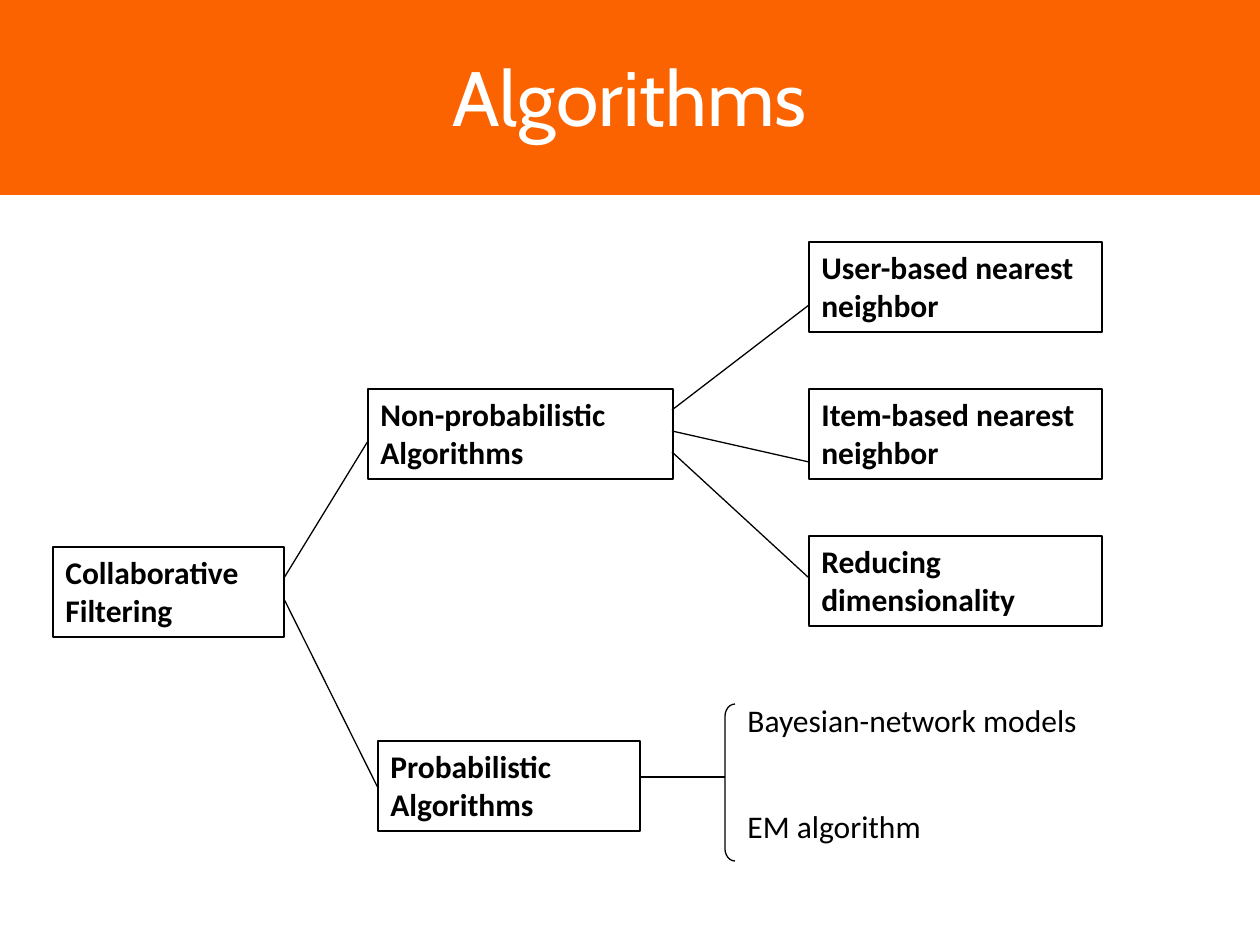
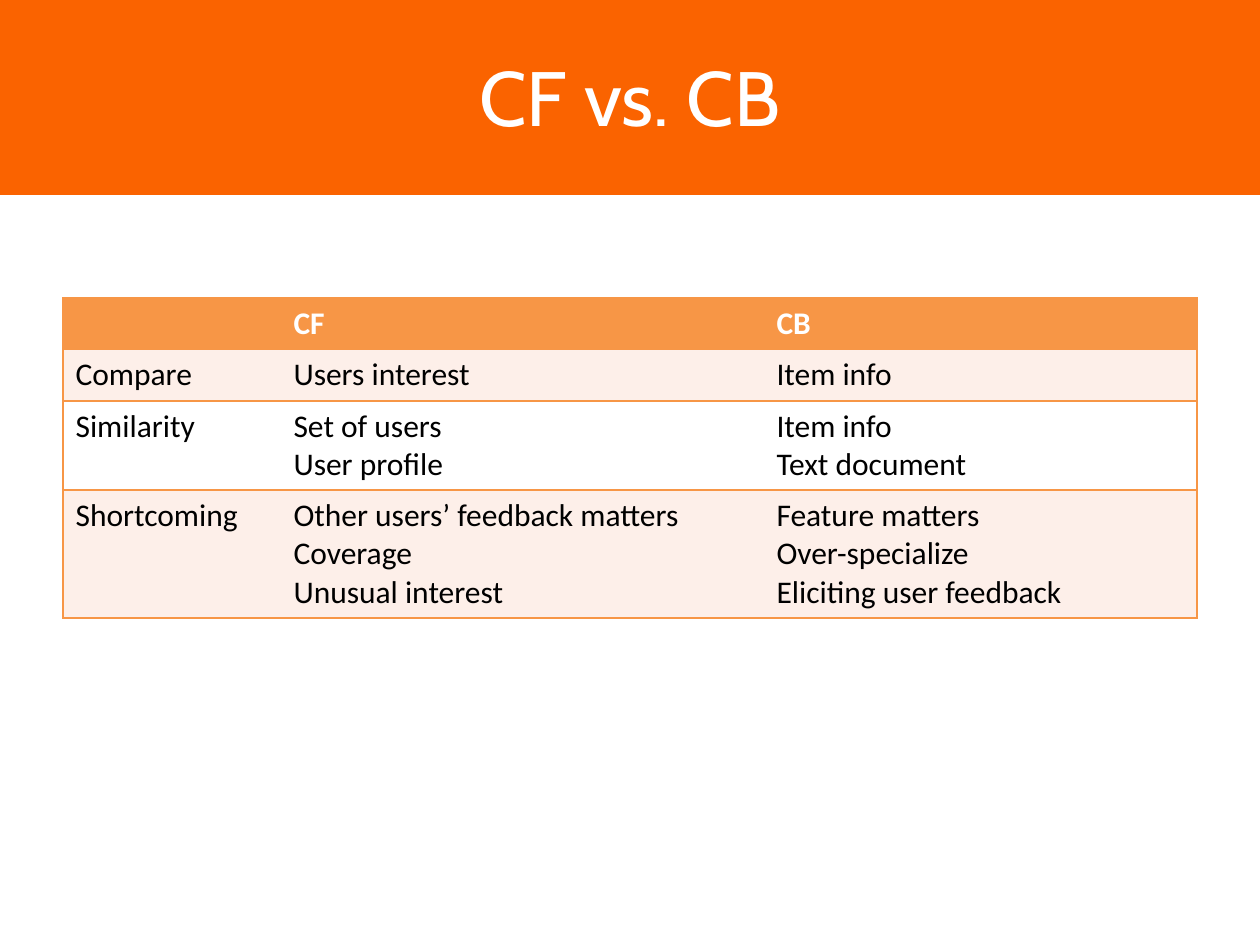
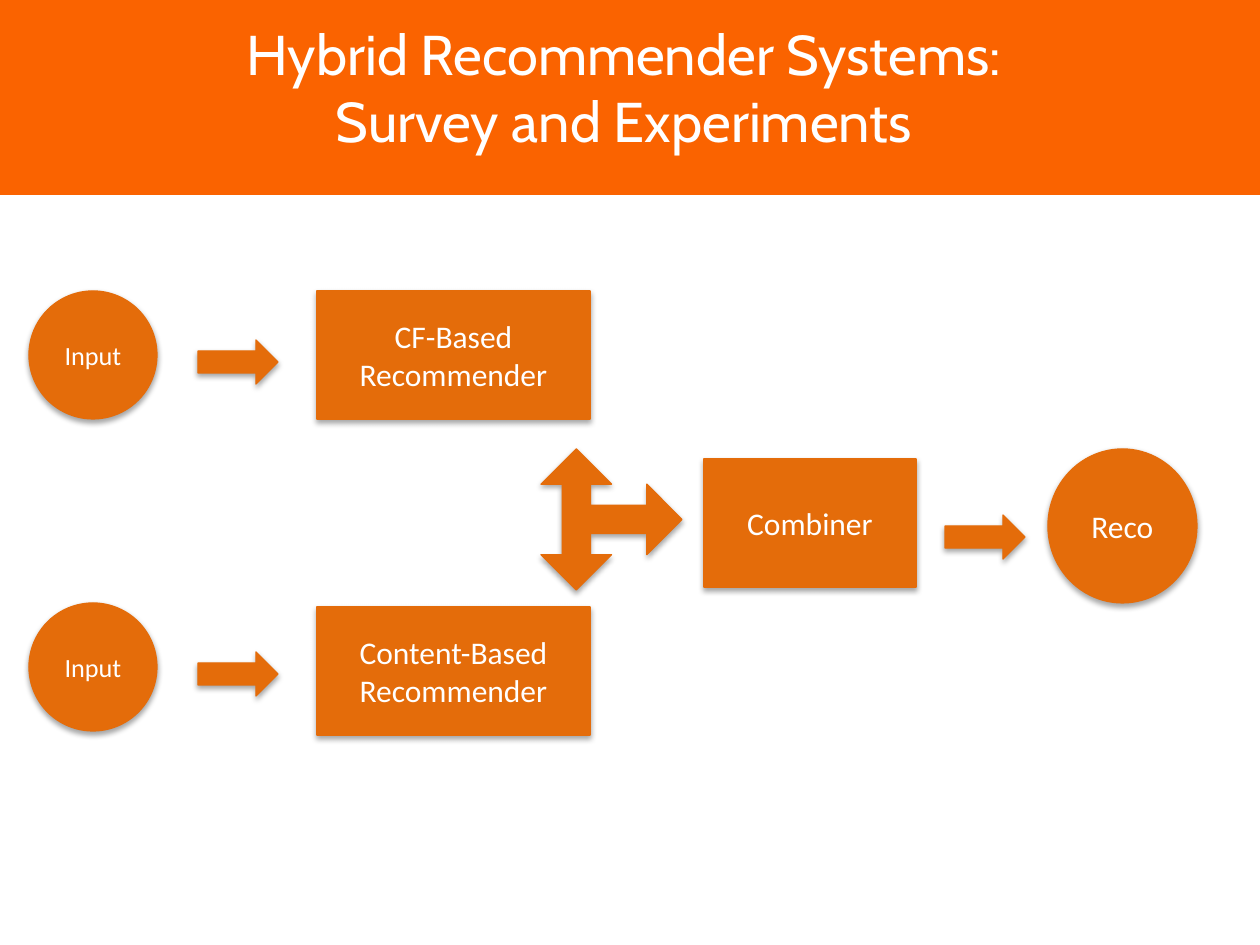
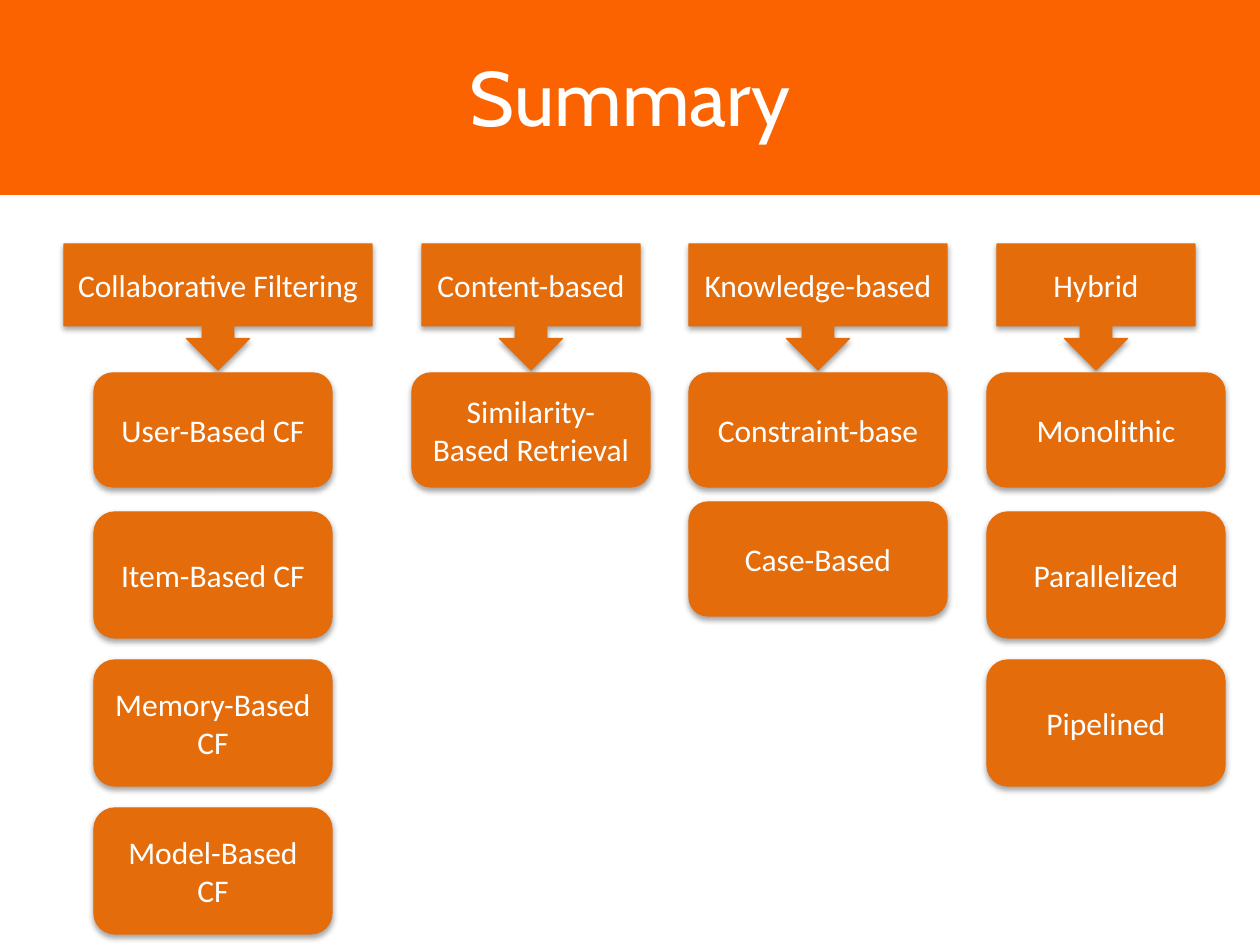
import pptx
import pptx.dml.color
import pptx.enum.shapes
import pptx.enum.text
import pptx.oxml
import pptx.oxml.ns
import pptx.util

SHAPE = pptx.enum.shapes.MSO_SHAPE
ALIGN = pptx.enum.text.PP_ALIGN
ANCHOR = pptx.enum.text.MSO_ANCHOR
PX = pptx.util.Inches(1) / 126

# Shared look
BAND, BLOCK, GRID, TINT = "FA6300", "E46C0A", "F79646", "FDEFE9"
BLACK, WHITE = "000000", "FFFFFF"
TITLE_FONT, BODY_FONT = "Cabin", "Calibri"
THIN = 0.75
DRAWING_NS = pptx.oxml.ns.nsdecls("a")
SHADOW = (
    f'<a:effectLst {DRAWING_NS}><a:outerShdw blurRad="40000" dist="23000" '
    'dir="5400000" rotWithShape="0"><a:srgbClr val="000000">'
    '<a:alpha val="35000"/></a:srgbClr></a:outerShdw></a:effectLst>'
)


def px(*lengths):
    return [round(length * PX) for length in lengths]


def colour(hex_code):
    return pptx.dml.color.RGBColor.from_string(hex_code)


def apply_format(target, values):
    for attribute, value in values.items():
        setattr(target, attribute, value)


def write(frame, lines, size=18, ink=BLACK, bold=False, font=BODY_FONT,
          align=ALIGN.LEFT, gap=0):
    """Fill a text frame, one paragraph a line, with gap points between."""
    for i, line in enumerate(lines):
        paragraph = frame.paragraphs[0] if i == 0 else frame.add_paragraph()
        paragraph.text = line
        paragraph.alignment = align
        if i and gap:
            paragraph.space_before = pptx.util.Pt(gap)
        apply_format(paragraph.font, {
            "size": pptx.util.Pt(size), "name": font, "bold": bold})
        paragraph.font.color.rgb = colour(ink)


def outline(item, hex_code):
    item.line.color.rgb = colour(hex_code)
    item.line.width = pptx.util.Pt(THIN)


def add_outlined(slide, kind, box):
    """Unfilled shape with a thin black line."""
    shape = slide.shapes.add_shape(kind, *px(*box))
    shape.shadow.inherit = False
    shape.fill.background()
    outline(shape, BLACK)
    return shape


def add_node(slide, label, box):
    node = add_outlined(slide, SHAPE.RECTANGLE, box)
    apply_format(node.text_frame, {
        "word_wrap": True, "vertical_anchor": ANCHOR.TOP})
    write(node.text_frame, [label], bold=True)


def add_text(slide, lines, box, anchor=ANCHOR.TOP, **text_format):
    frame = slide.shapes.add_textbox(*px(*box)).text_frame
    apply_format(frame, {"word_wrap": True, "vertical_anchor": anchor})
    write(frame, lines, **text_format)


def add_link(slide, *ends):
    link = slide.shapes.add_connector(
        pptx.enum.shapes.MSO_CONNECTOR.STRAIGHT, *px(*ends))
    outline(link, BLACK)
    link._element.spPr.append(
        pptx.oxml.parse_xml(f"<a:effectLst {DRAWING_NS}/>"))


def add_block(slide, kind, box, label="", size=18):
    """Orange shape with a soft shadow and a centred white label."""
    block = slide.shapes.add_shape(kind, *px(*box))
    block.fill.solid()
    block.fill.fore_color.rgb = colour(BLOCK)
    outline(block, BLOCK)
    block._element.spPr.append(pptx.oxml.parse_xml(SHADOW))
    if label:
        apply_format(block.text_frame, {
            "word_wrap": True, "vertical_anchor": ANCHOR.MIDDLE})
        write(block.text_frame, [label], size, WHITE, align=ALIGN.CENTER)
    return block


def add_cell_borders(cell, sides):
    for side in sides:
        cell._tc.get_or_add_tcPr().append(pptx.oxml.parse_xml(
            f'<a:ln{side} {DRAWING_NS} w="12700"><a:solidFill>'
            f'<a:srgbClr val="{GRID}"/></a:solidFill></a:ln{side}>'))


def add_grid(slide, rows, left, top, widths, heights):
    """Table with horizontal rules, an outer frame and tinted odd rows."""
    table = slide.shapes.add_table(
        len(rows), len(widths),
        *px(left, top, sum(widths), sum(heights))).table
    # Plain style without grid
    table._tbl.tblPr.find(pptx.oxml.ns.qn("a:tableStyleId")).text = (
        "{2D5ABB26-0587-4C30-8999-92F81FD0307C}")
    for column, width in zip(table.columns, px(*widths)):
        column.width = width
    for row, height in zip(table.rows, px(*heights)):
        row.height = height
    for r, row in enumerate(rows):
        header = r == 0
        for c, lines in enumerate(row):
            cell = table.cell(r, c)
            sides = ["L"] * (c == 0) + ["R"] * (c == len(row) - 1)
            add_cell_borders(cell, sides + ["T", "B"])
            cell.fill.solid()
            cell.fill.fore_color.rgb = colour(
                GRID if header else TINT if r % 2 else WHITE)
            write(cell.text_frame, lines, bold=header,
                  ink=WHITE if header else BLACK)


def add_titled_slide(deck, title, size=44, left=63, top=26):
    slide = deck.slides.add_slide(deck.slide_layouts[6])
    band = slide.shapes.add_shape(SHAPE.RECTANGLE, *px(0, 0, 1260, 195))
    band.shadow.inherit = False
    band.fill.solid()
    band.fill.fore_color.rgb = colour(BAND)
    band.line.fill.background()
    add_text(slide, [title], (left, top, 1134, 139), ANCHOR.MIDDLE,
             size=size, ink=WHITE, font=TITLE_FONT, align=ALIGN.CENTER)
    return slide


def build_algorithms(deck):
    slide = add_titled_slide(deck, "Algorithms")
    node_height = 90
    # Root and its two families
    for label, left, top, width in (
            ("Collaborative Filtering", 53, 547, 231),
            ("Non-probabilistic Algorithms", 368, 389, 305),
            ("Probabilistic Algorithms", 378, 741, 262)):
        add_node(slide, label, (left, top, width, node_height))
    # Non-probabilistic methods
    for i, label in enumerate(("User-based nearest neighbor",
                               "Item-based nearest neighbor",
                               "Reducing dimensionality")):
        add_node(slide, label, (809, 242 + 147 * i, 293, node_height))
    # Probabilistic methods
    add_text(slide, ["Bayesian-network models", "EM algorithm"],
             (735, 695, 525, 164), gap=39)
    bracket = add_outlined(slide, SHAPE.LEFT_BRACKET, (725, 704, 10, 157))
    bracket.adjustments[0] = 1.25
    # Branches
    for ends in ((284, 578, 368, 441), (284, 599, 378, 788),
                 (640, 777, 725, 777), (672, 410, 809, 305),
                 (672, 431, 809, 462), (672, 452, 809, 578)):
        add_link(slide, *ends)


def build_comparison(deck):
    slide = add_titled_slide(deck, "CF vs. CB")
    rows = [
        ([], ["CF"], ["CB"]),
        (["Compare"], ["Users interest"], ["Item info"]),
        (["Similarity"], ["Set of users", "User profile"],
         ["Item info", "Text document"]),
        (["Shortcoming"],
         ["Other users’ feedback matters", "Coverage", "Unusual interest"],
         ["Feature matters", "Over-specialize", "Eliciting user feedback"]),
    ]
    add_grid(slide, rows, 63, 298, (218, 483, 433), (51, 52, 89, 128))


def build_hybrid(deck):
    slide = add_titled_slide(
        deck, "Hybrid Recommender Systems:\vSurvey and Experiments",
        size=32, left=57, top=17)
    # Two recommenders with their inputs
    for label, box_top, input_top in (
            ("CF-Based Recommender", 291, 291),
            ("Content-Based Recommender", 607, 603)):
        add_block(slide, SHAPE.RECTANGLE, (317, box_top, 273, 128), label)
        add_block(slide, SHAPE.OVAL, (29, input_top, 128, 128), "Input", 15)
        add_block(slide, SHAPE.RIGHT_ARROW, (198, input_top + 49, 80, 44))
    # Combination and result
    add_block(slide, SHAPE.RECTANGLE, (704, 459, 212, 128), "Combiner")
    add_block(slide, SHAPE.OVAL, (1048, 449, 149, 154), "Reco")
    add_block(slide, SHAPE.RIGHT_ARROW, (945, 515, 80, 44))
    junction = add_block(slide, SHAPE.LEFT_RIGHT_UP_ARROW,
                         (541, 449, 141, 141))
    junction.rotation = 90
    for i, ratio in enumerate((0.196, 0.25, 0.25)):
        junction.adjustments[i] = round(ratio, 2)


def build_summary(deck):
    slide = add_titled_slide(deck, "Summary")
    tall_rows = [(373, 114)] + [(512 + 148 * i, 126) for i in range(3)]
    short_rows = [(373, 114), (502, 114)]
    # Heading, its left and width, method left and width, rows, methods
    families = (
        ("Collaborative Filtering", 64, 308, 94, 238, tall_rows,
         ("User-Based CF", "Item-Based CF", "Memory-Based CF",
          "Model-Based CF")),
        ("Content-based", 422, 218, 412, 238, tall_rows,
         ("Similarity-Based Retrieval",)),
        ("Knowledge-based", 689, 258, 689, 258, short_rows,
         ("Constraint-base", "Case-Based")),
        ("Hybrid", 997, 198, 987, 238, tall_rows,
         ("Monolithic", "Parallelized", "Pipelined")),
    )
    for heading, head_left, head_width, left, width, rows, methods in families:
        add_block(slide, SHAPE.DOWN_ARROW_CALLOUT,
                  (head_left, 244, head_width, 126), heading)
        for method, (top, height) in zip(methods, rows):
            add_block(slide, SHAPE.ROUNDED_RECTANGLE,
                      (left, top, width, height), method)


def main():
    deck = pptx.Presentation()
    deck.slide_width, deck.slide_height = px(1260, 945)
    build_algorithms(deck)
    build_comparison(deck)
    build_hybrid(deck)
    build_summary(deck)
    deck.save("out.pptx")


if __name__ == "__main__":
    main()
